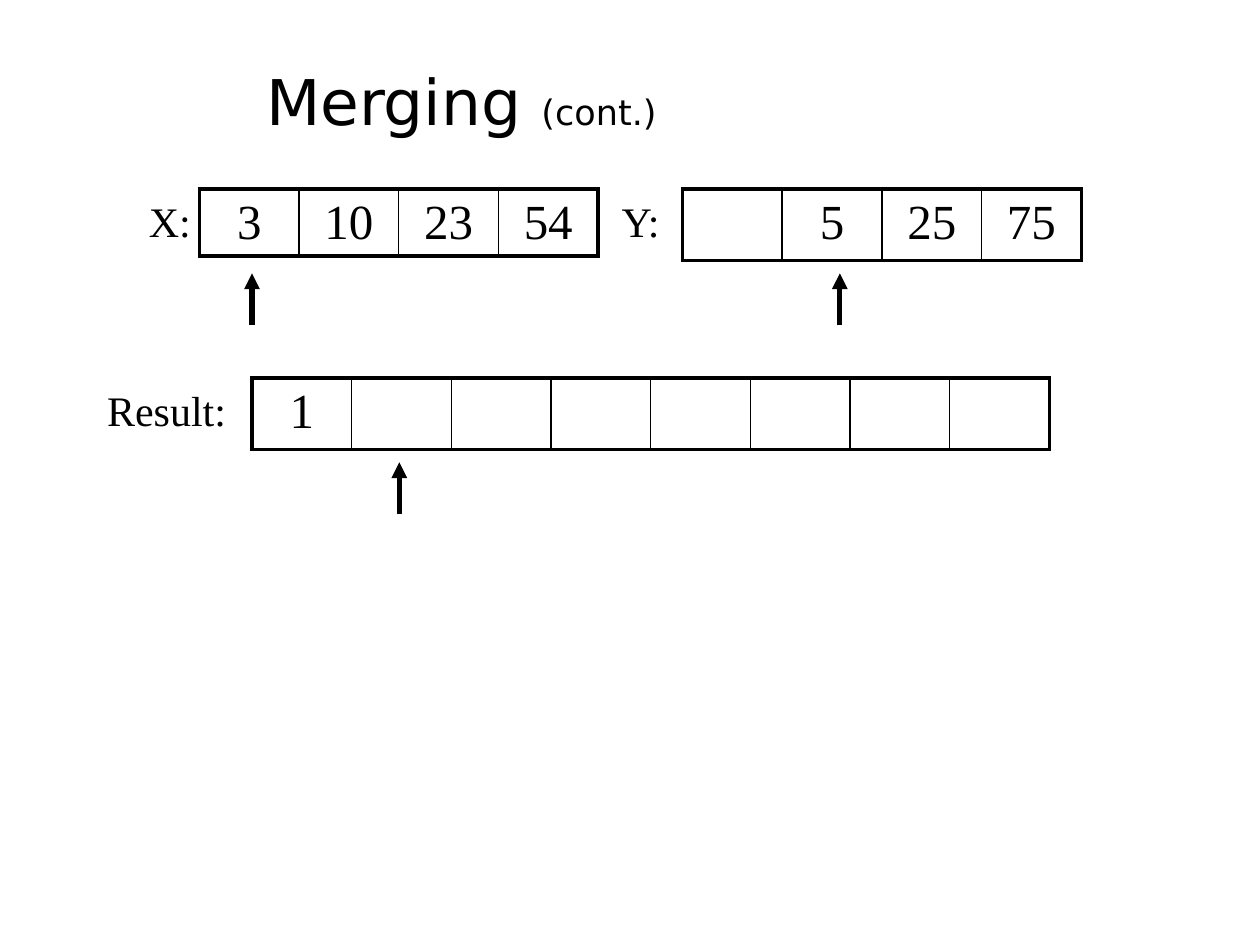
from pptx import Presentation
from pptx.dml.color import RGBColor
from pptx.enum.shapes import MSO_CONNECTOR
from pptx.enum.text import MSO_ANCHOR, MSO_AUTO_SIZE, PP_ALIGN
from pptx.oxml.ns import qn
from pptx.util import Cm, Pt
from lxml.etree import SubElement

BLACK = RGBColor(0, 0, 0)
TITLE_FONT = "DejaVu Sans"
BODY_FONT = "Times New Roman"
CELL_WIDTH = 2.01
THICK, THIN = Pt(2.25), Pt(1)


def add_span(para, text, size, font):
    span = para.add_run()
    span.text = text
    span.font.size = Pt(size)
    span.font.name = font
    span.font.color.rgb = BLACK


def set_space_before(para, percent):
    """Space before a paragraph, as a share of its text size."""
    space = SubElement(para._p.get_or_add_pPr(), qn("a:spcBef"))
    SubElement(space, qn("a:spcPct"), val=str(percent * 1000))


def set_borders(cell, **widths):
    properties = cell._tc.get_or_add_tcPr()
    for side, width in widths.items():
        line = SubElement(properties, qn(f"a:ln{side}"), w=str(int(width)))
        fill = SubElement(line, qn("a:solidFill"))
        SubElement(fill, qn("a:srgbClr"), val=str(BLACK))


def add_title(page, left, top, width, height):
    title = page.shapes.title
    title.left, title.top = Cm(left), Cm(top)
    title.width, title.height = Cm(width), Cm(height)
    frame = title.text_frame
    frame.auto_size = MSO_AUTO_SIZE.NONE
    frame.vertical_anchor = MSO_ANCHOR.MIDDLE
    para = frame.paragraphs[0]
    para.alignment = PP_ALIGN.LEFT
    add_span(para, "Merging ", 36, TITLE_FONT)
    add_span(para, "(cont.)", 20, TITLE_FONT)


def add_label(page, text, left, top, width):
    box = page.shapes.add_textbox(Cm(left), Cm(top), Cm(width), Cm(1.27))
    box.text_frame.word_wrap = True
    para = box.text_frame.paragraphs[0]
    set_space_before(para, 50)
    add_span(para, text, 24, BODY_FONT)


def add_cells(page, values, left, top, height):
    count = len(values)
    table = page.shapes.add_table(1, count, Cm(left), Cm(top),
                                  Cm(count * CELL_WIDTH), Cm(height)).table
    table.first_row = table.horz_banding = False
    for index, value in enumerate(values):
        table.columns[index].width = Cm(CELL_WIDTH)
        cell = table.cell(0, index)
        set_borders(cell,
                    L=THICK if index == 0 else THIN,
                    R=THICK if index == count - 1 else THIN,
                    T=THICK, B=THICK)
        cell.fill.background()
        if value:
            para = cell.text_frame.paragraphs[0]
            para.alignment = PP_ALIGN.CENTER
            set_space_before(para, 20)
            add_span(para, value, 28, BODY_FONT)


def add_pointer(page, x, tip):
    arrow = page.shapes.add_connector(MSO_CONNECTOR.STRAIGHT, Cm(x), Cm(tip + 1.05),
                                      Cm(x), Cm(tip))
    arrow.line.color.rgb = BLACK
    arrow.line.width = Pt(3)
    SubElement(arrow.line._get_or_add_ln(), qn("a:tailEnd"), type="triangle")
    SubElement(arrow._element.spPr, qn("a:effectLst"))


def add_array(page, label, values, left, top, height,
              label_offset, label_width, pointer_offset):
    """A labelled row of cells with an arrow pointing up at the current one."""
    add_cells(page, values, left, top, height)
    add_pointer(page, left + pointer_offset, top + 1.7)
    add_label(page, label, left - label_offset, top, label_width)


def main():
    deck = Presentation()
    deck.slide_width, deck.slide_height = Cm(25.4), Cm(19.05)
    page = deck.slides.add_slide(deck.slide_layouts[5])
    add_title(page, 5.11, 0.74, 17.93, 2.57)

    # Sorted inputs
    add_array(page, "X:", ["3", "10", "23", "54"], 4.02, 3.81, 1.2, 1.27, 1.48, 1.06)
    add_array(page, "Y:", ["", "5", "25", "75"], 13.76, 3.81, 1.2, 1.48, 1.48, 3.17)

    # Merged output
    add_array(page, "Result:", ["1"] + [""] * 7, 5.08, 7.62, 1.42, 3.17, 2.97, 2.97)

    deck.save("out.pptx")


if __name__ == "__main__":
    main()
